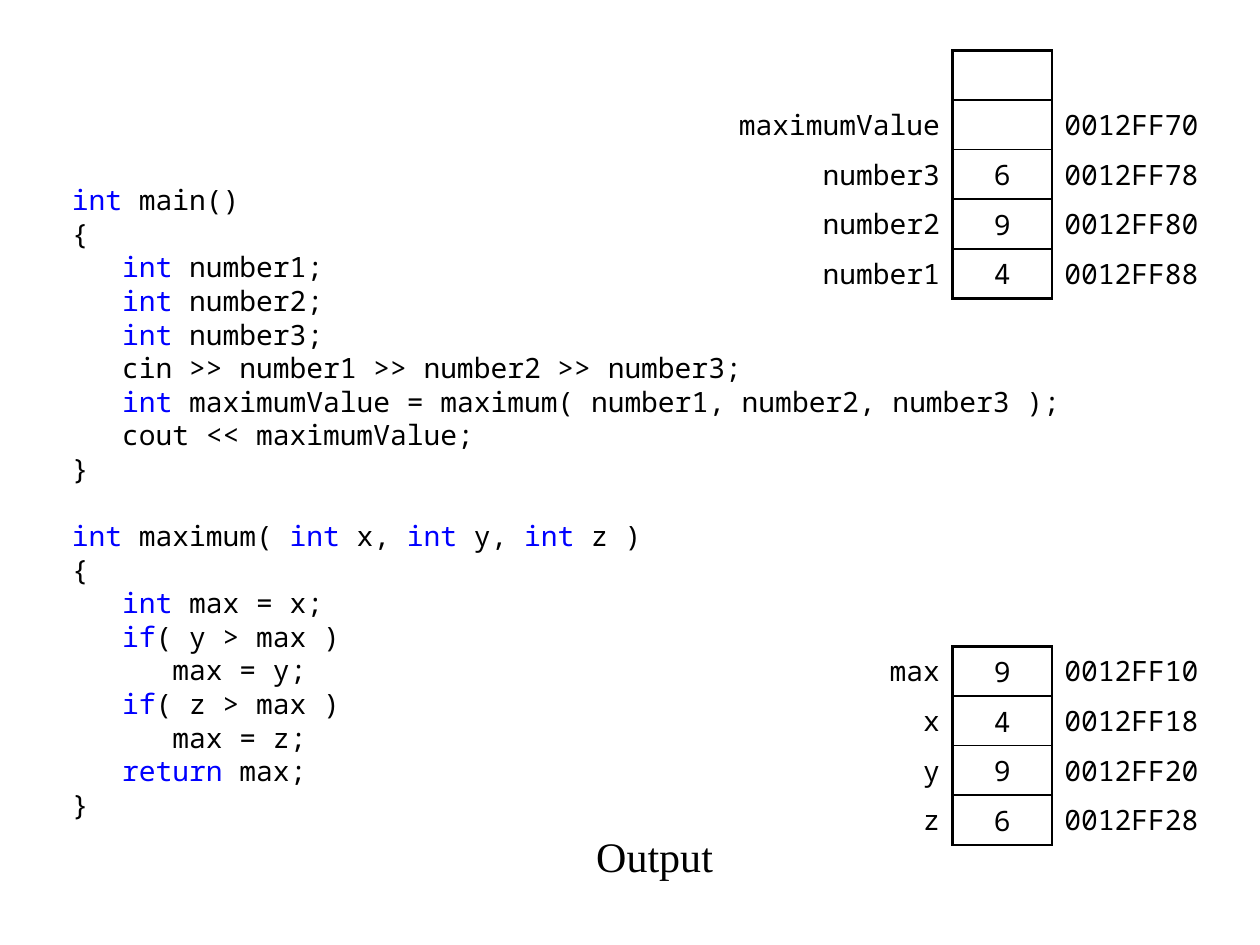
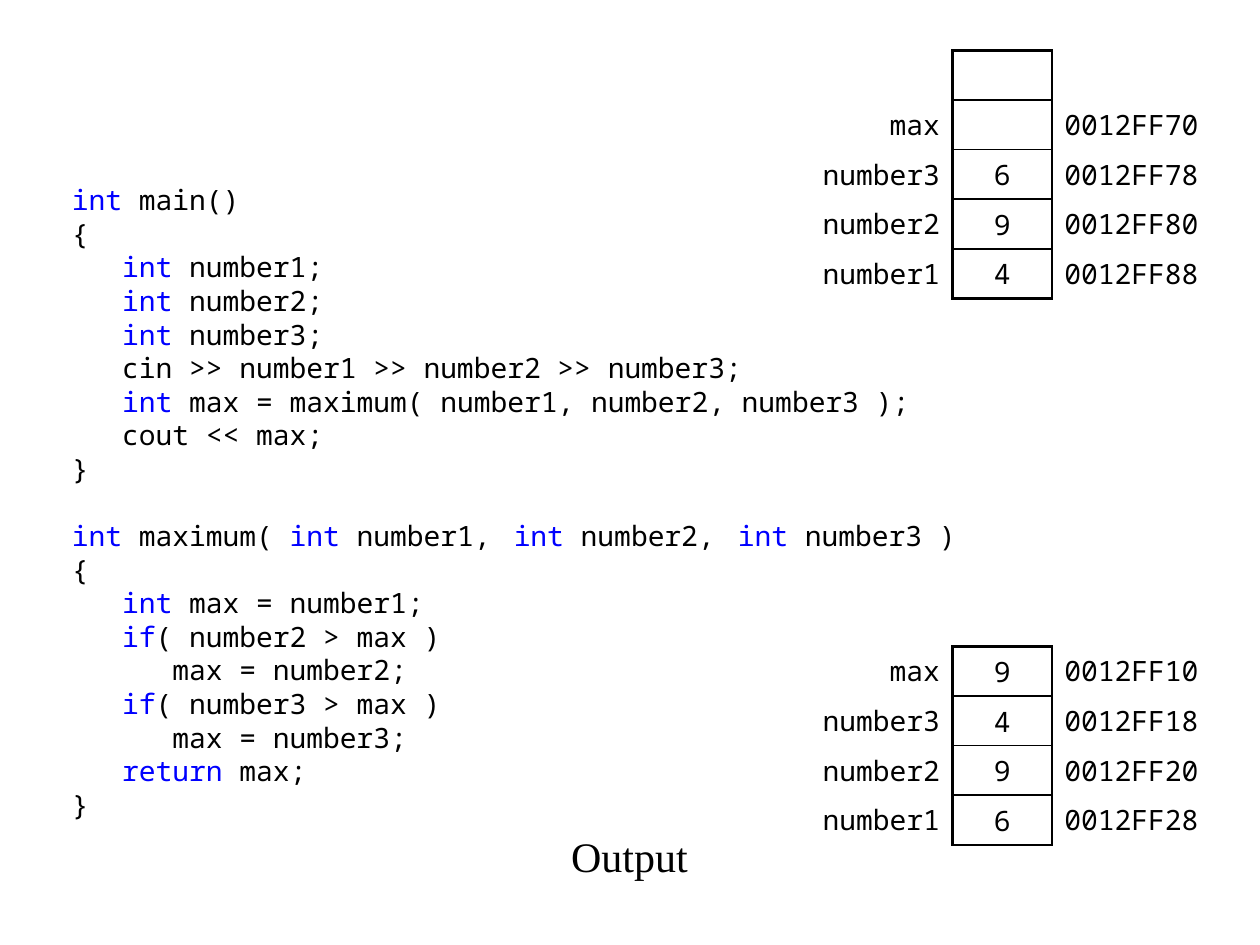
import dataclasses
import pptx
import pptx.dml.color
import pptx.enum.text
import pptx.oxml.ns
import pptx.util
import lxml.etree

Inches = pptx.util.Inches
Pt = pptx.util.Pt
qn = pptx.oxml.ns.qn
Align = pptx.enum.text.PP_ALIGN
Anchor = pptx.enum.text.MSO_ANCHOR


@dataclasses.dataclass
class Theme:
    ink: str = "000000"
    key: str = "0000FF"
    mono: str = "Noto Sans Mono"
    serif: str = "Times New Roman"
    code: int = 16
    label: int = 24
    pitch: float = 19.2
    thick: float = 1.5
    thin: float = 1
    plain: str = "{2D5ABB26-0587-4C30-8999-92F81FD0307C}"


theme = Theme()


def write(frame, text, font=theme.mono, size=theme.code, align=Align.LEFT, pitch=None):
    frame.word_wrap = True
    para, gap = frame.paragraphs[0], 0
    for num, line in enumerate(text.split("\n")):
        if not line:
            gap = pitch
            continue
        if num:
            para = frame.add_paragraph()
        props = para._p.get_or_add_pPr()
        props.set("marL", "0")
        props.set("indent", "0")
        lxml.etree.SubElement(props, qn("a:buNone"))
        para.alignment = align
        para.space_before = Pt(gap)
        gap = 0
        if pitch:
            para.line_spacing = Pt(pitch)
        for pos, part in enumerate(line.split("~")):
            if not part:
                continue
            run = para.add_run()
            run.text = part
            run.font.name = font
            run.font.size = Pt(size)
            tint = theme.key if pos % 2 else theme.ink
            run.font.color.rgb = pptx.dml.color.RGBColor.from_string(tint)
            if part == " ":
                run.font._element.set("spc", "360")


def edge(cell, sides):
    props = cell._tc.get_or_add_tcPr()
    for side, width in sides.items():
        line = lxml.etree.SubElement(props, qn("a:ln" + side), w=str(Pt(width)))
        fill = lxml.etree.SubElement(line, qn("a:solidFill"))
        lxml.etree.SubElement(fill, qn("a:srgbClr"), val=theme.ink)


code = """~int~ main()
{
   ~int~ number1;
   ~int~ number2;
   ~int~ number3;
   cin >> number1 >> number2 >> number3;
   ~int~ RESULT = maximum( number1, number2, number3 );
   cout << RESULT;
}

~int~ maximum( ~int~ FIRST,GAP~int~ SECOND,GAP~int~ THIRD )
{
   ~int~ max = FIRST;
   ~if~( SECOND > max )
      max = SECOND;
   ~if~( THIRD > max )
      max = THIRD;
   ~return~ max;
}"""

locals_ = ["number3", "number2", "number1"]
pages = [
    dict(
        words=dict(RESULT="maximumValue", FIRST="x", SECOND="y", THIRD="z", GAP=" "),
        caller=["", "maximumValue"] + locals_,
        callee=["max", "x", "y", "z"],
        wide=(1.97, 0.79),
        out=4.21,
    ),
    dict(
        words=dict(RESULT="max", FIRST="number1", SECOND="number2", THIRD="number3", GAP="~~ "),
        caller=["", "max"] + locals_,
        callee=["max"] + locals_,
        wide=(1.18, 1.18),
        out=4.01,
    ),
]

unit = Inches(1.97) // 5
box = Inches(7.56)

deck = pptx.Presentation()
deck.slide_width = Inches(10)
deck.slide_height = Inches(7.5)

for page in pages:
    slide = deck.slides.add_slide(deck.slide_layouts[3])
    title = slide.shapes.title
    title._element.getparent().remove(title._element)

    text = code
    for word, name in page["words"].items():
        text = text.replace(word, name)

    body, label = slide.placeholders[1], slide.placeholders[2]
    spots = [
        (body, (0.47, 1.39, 8.07, 5.32), 0.06),
        (label, (page["out"], 6.51, 1.97, 0.59), 0.08),
    ]
    for shape, spot, inset in spots:
        shape.left, shape.top, shape.width, shape.height = map(Inches, spot)
        shape.text_frame.auto_size = pptx.enum.text.MSO_AUTO_SIZE.NONE
        shape.text_frame.vertical_anchor = Anchor.TOP
        shape.text_frame.margin_top = Inches(inset)
    write(body.text_frame, text, pitch=theme.pitch)
    write(label.text_frame, "Output", font=theme.serif, size=theme.label, align=Align.CENTER)

    stacks = [
        (0.4, page["caller"], ["", "", "6", "9", "4"], 0x12FF68, page["wide"][0]),
        (5.13, page["callee"], ["9", "4", "9", "6"], 0x12FF10, page["wide"][1]),
    ]
    for top, names, values, base, wide in stacks:
        count = len(names)
        cols = [Inches(wide), 2 * unit, Inches(1.38)]
        grid = slide.shapes.add_table(
            count, 3, box - cols[0], Inches(top), sum(cols), count * unit
        ).table
        grid.first_row = grid.horz_banding = False
        grid._tbl.tblPr.find(qn("a:tableStyleId")).text = theme.plain
        for col, width in zip(grid.columns, cols):
            col.width = width
        for row, (name, value) in enumerate(zip(names, values)):
            grid.rows[row].height = unit
            place = f"{base + 8 * row:08X}" if name else ""
            for col, (item, align) in enumerate(
                [(name, Align.RIGHT), ("", Align.CENTER), (place, Align.LEFT)]
            ):
                cell = grid.cell(row, col)
                cell.vertical_anchor = Anchor.MIDDLE
                cell.margin_top = cell.margin_bottom = Inches(0.04)
                cell.margin_left = Inches(0.1 if col else 0.06)
                cell.margin_right = Inches(0.08 if col == 2 else 0.1)
                if item:
                    write(cell.text_frame, item, align=align)
                if col == 1:
                    edge(cell, {
                        "L": theme.thick,
                        "R": theme.thick,
                        "T": theme.thin if row else theme.thick,
                        "B": theme.thin if row < count - 1 else theme.thick,
                    })
                elif col == 2:
                    edge(cell, {"L": theme.thick})
                cell.fill.background()
            if value:
                digit = slide.shapes.add_textbox(
                    box + unit // 2, Inches(top) + row * unit, unit, unit
                ).text_frame
                digit.margin_left = digit.margin_right = 0
                digit.margin_top = digit.margin_bottom = 0
                digit.vertical_anchor = Anchor.MIDDLE
                write(digit, value, align=Align.CENTER)

deck.save("out.pptx")
